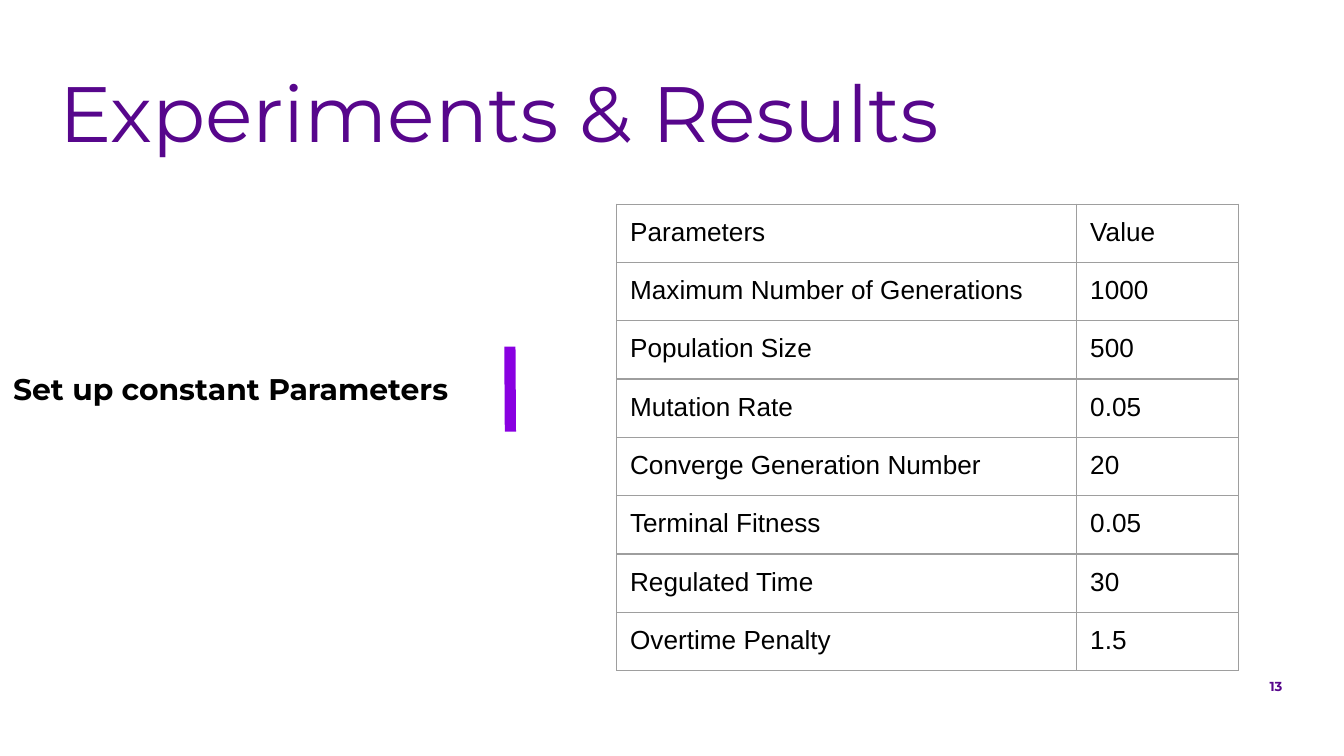
import pptx
import pptx.dml.color
import pptx.enum.shapes
import pptx.enum.text
import pptx.oxml
import pptx.oxml.ns
import pptx.util
import lxml.etree

RGB = pptx.dml.color.RGBColor
PURPLE = RGB(0x57, 0x06, 0x8C)
VIOLET = RGB(0x89, 0x00, 0xE1)
BLACK = RGB(0, 0, 0)
GREY = RGB(0x9E, 0x9E, 0x9E)
ALIGN = pptx.enum.text.PP_ALIGN
ANCHOR = pptx.enum.text.MSO_ANCHOR
qn = pptx.oxml.ns.qn

deck = pptx.Presentation()
deck.slide_width = pptx.util.Inches(10)
deck.slide_height = deck.slide_width * 9 // 16
slide = deck.slides.add_slide(deck.slide_layouts[5])
PAD = pptx.util.Inches(0.1)


def area(*shares):
    """Turn percentages of the slide's width and height, in turn, into lengths."""
    sides = (deck.slide_width, deck.slide_height) * 2
    return [round(share * side / 100) for share, side in zip(shares, sides)]


def write(frame, text, size, font, color, bold=False):
    frame.word_wrap = True
    frame.margin_left = frame.margin_right = PAD
    frame.margin_top = frame.margin_bottom = PAD
    para = frame.paragraphs[0]
    run = para.add_run()
    run.text = text
    run.font.size = pptx.util.Pt(size)
    run.font.name = font
    run.font.bold = bold
    run.font.color.rgb = color
    return para


# Title
title = slide.shapes.title
title.left, title.top, title.width, title.height = area(3.4, 8.65, 92.1, 22.2)
para = write(title.text_frame, "Experiments & Results", 42, "Montserrat", PURPLE)
para.alignment = ALIGN.LEFT
para.line_spacing = 0.85
title.text_frame.vertical_anchor = ANCHOR.TOP
title.text_frame.auto_size = pptx.enum.text.MSO_AUTO_SIZE.NONE

# Page number
page = slide.shapes.add_textbox(*area(50.5, 87.8, 45.9, 6))
para = write(page.text_frame, "13", 7, "Montserrat", PURPLE, True)
para.alignment = ALIGN.RIGHT
page.text_frame.vertical_anchor = ANCHOR.MIDDLE

# Label and its accent bar
label = slide.shapes.add_textbox(*area(0, 47.25, 35.3, 8.4))
write(label.text_frame, "Set up constant Parameters", 16, "Montserrat", BLACK, True)

bar = slide.shapes.add_connector(
    pptx.enum.shapes.MSO_CONNECTOR.STRAIGHT, *area(37.94, 45.85, 37.98, 57.1))
bar.line.color.rgb = VIOLET
bar.line.width = pptx.util.Pt(6)
lxml.etree.SubElement(bar.element.spPr, qn("a:effectLst"))

# Parameter table
rows = [
    ("Parameters", "Value"),
    ("Maximum Number of Generations", "1000"),
    ("Population Size", "500"),
    ("Mutation Rate", "0.05"),
    ("Converge Generation Number", "20"),
    ("Terminal Fitness", "0.05"),
    ("Regulated Time", "30"),
    ("Overtime Penalty", "1.5"),
]
widths = (34.24, 12.04)
grid = slide.shapes.add_table(
    len(rows), len(widths), *area(45.88, 27, sum(widths), 7.5 * len(rows))).table
grid.first_row = grid.horz_banding = False
for col, width in zip(grid.columns, widths):
    col.width = area(width)[0]

for r, row in enumerate(rows):
    for c, text in enumerate(row):
        cell = grid.cell(r, c)
        cell.margin_left = cell.margin_right = PAD
        cell.margin_top = cell.margin_bottom = PAD
        cell.fill.background()
        write(cell.text_frame, text, 14, "Arial", BLACK)
        props = cell._tc.get_or_add_tcPr()
        for spot, side in enumerate(("lnL", "lnR", "lnT", "lnB")):
            edge = lxml.etree.Element(qn("a:" + side), w=str(pptx.util.Pt(0.75)))
            fill = lxml.etree.SubElement(edge, qn("a:solidFill"))
            lxml.etree.SubElement(fill, qn("a:srgbClr"), val=str(GREY))
            props.insert(spot, edge)

deck.save("out.pptx")
